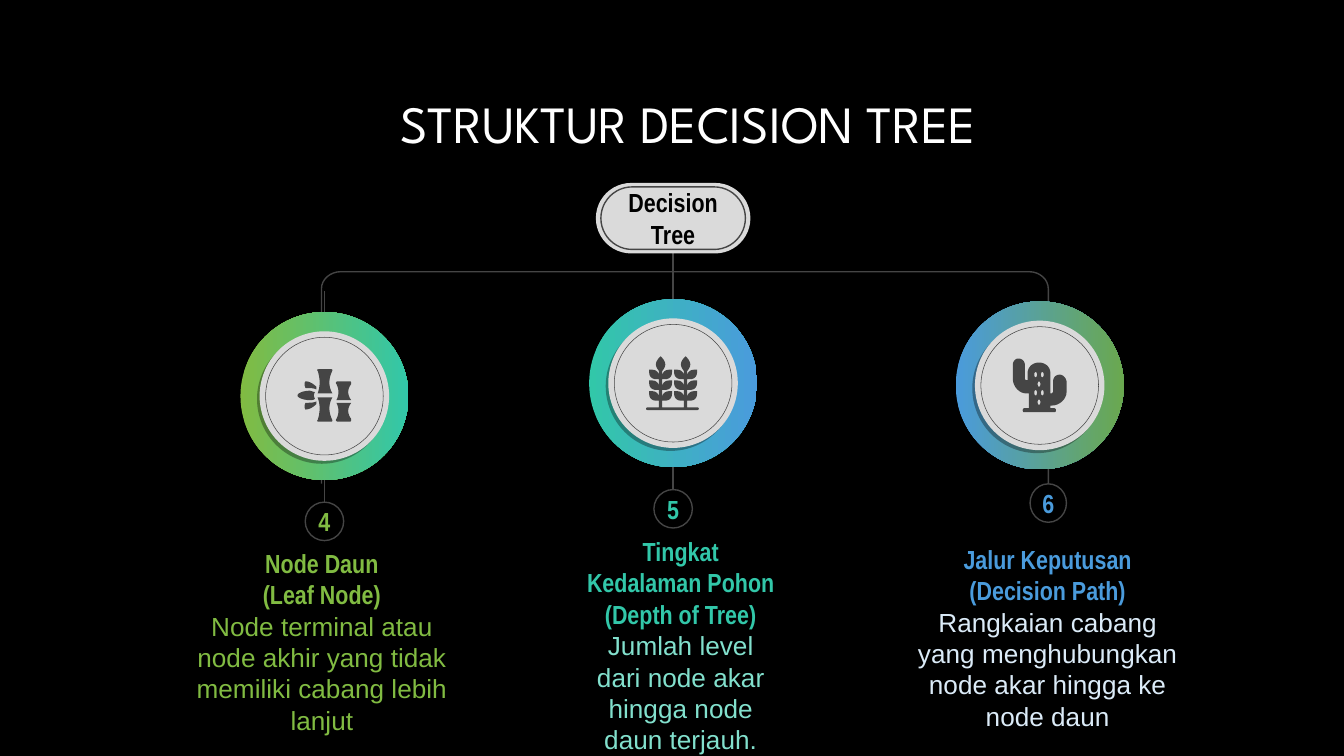
from lxml.etree import SubElement
from pptx import Presentation
from pptx.dml.color import RGBColor
from pptx.enum.shapes import MSO_CONNECTOR, MSO_SHAPE
from pptx.enum.text import MSO_ANCHOR, PP_ALIGN
from pptx.oxml.ns import qn
from pptx.util import Pt

BLACK = RGBColor(0x00, 0x00, 0x00)
WHITE = RGBColor(0xFF, 0xFF, 0xFF)
GREY = RGBColor(0xDA, 0xDA, 0xDA)
DARK = RGBColor(0x45, 0x45, 0x45)
GREEN = RGBColor(0x81, 0xBB, 0x42)
TEAL = RGBColor(0x32, 0xC7, 0xA9)
BLUE = RGBColor(0x4A, 0x9B, 0xDC)
LEAF = RGBColor(0x6A, 0xA8, 0x4F)
PALE_TEAL = RGBColor(0x82, 0xE0, 0xCD)
PALE_BLUE = RGBColor(0xDB, 0xEB, 0xF8)

# Content; disc = centre, badge = centre x, top, width; box = left, top, width, height
TITLE = "STRUKTUR DECISION TREE"
ROOT = "Decision Tree"
NODES = [
    dict(number="4", heading=["Node Daun", "(Leaf Node)"],
         body="Node terminal atau node akhir yang tidak memiliki cabang lebih lanjut",
         color=GREEN, end_color=TEAL, body_color=GREEN, icon="bamboo", disc=(173.8, 212.2),
         badge=(173.8, 269, 20.6), stem_top=155.8, box=(96.5, 293.2, 151.9, 101)),
    dict(number="5", heading=["Tingkat Kedalaman Pohon", "(Depth of Tree)"],
         body="Jumlah level dari node akar hingga node daun terjauh.",
         color=TEAL, end_color=BLUE, body_color=PALE_TEAL, icon="wheat", disc=(360.6, 205.3),
         badge=(360.6, 262.3, 20.6), stem_top=149, box=(309.6, 286.8, 110.2, 118)),
    dict(number="6", heading=["Jalur Keputusan", "(Decision Path)"],
         body="Rangkaian cabang yang menghubungkan node akar hingga ke node daun",
         color=BLUE, end_color=LEAF, body_color=PALE_BLUE, icon="cactus", disc=(557, 206.5),
         badge=(561.6, 259.2, 19.5), stem_top=None, box=(486, 291.1, 150.5, 101)),
]

# Outlines: two numbers are a straight step, six are a curve
BRACKET = [(172.2, 259.2), (172.2, 154.8), (172.2, 149.7, 176.9, 145.6, 182.6, 145.6),
           (551.3, 145.6), (557, 145.6, 561.6, 149.7, 561.6, 154.8), (561.6, 259.2)]
ICON_UNIT = 0.72  # icons are drawn on a 40 by 40 grid

def flip(outline, height):
    return [tuple(height - v if i % 2 else v for i, v in enumerate(step)) for step in outline]

def mirror(outline, width):
    return [tuple(v if i % 2 else width - v for i, v in enumerate(step)) for step in outline]

def bamboo():
    leaf = [(14, 15), (14, 14, 14, 13, 14, 13), (12, 11, 9, 9, 6, 9),
            (5, 10, 5, 12, 6, 14), (9, 14, 12, 14, 14, 15)]
    middle_leaf = [(9, 16), (4, 16, 0, 18, 0, 19.5), (0, 21, 4, 23, 9, 23),
                   (11, 23, 12, 23, 13, 22), (12, 20, 12, 19, 13, 17), (12, 17, 10, 16, 9, 16)]
    tall = [(16, 0), (14, 0, 14.5, 1, 15, 1), (17, 7, 17, 13, 15, 18), (26, 18),
            (23, 13, 23, 7, 26, 1), (26, 0.5, 26, 0, 25, 0)]
    short = [(30, 9), (29, 9, 28, 10, 29, 11), (31, 15, 31, 19, 29, 23), (40, 23),
             (37, 19, 37, 15, 40, 11), (40, 10, 40, 9, 39, 9)]
    return [leaf, flip(leaf, 39), middle_leaf, tall, flip(tall, 39), short, flip(short, 48)]

def wheat():
    outlines = [[(1, 38), (38, 38), (39.5, 38, 39.5, 40, 38, 40), (1, 40), (-0.5, 40, -0.5, 38, 1, 38)]]
    for x in (10.7, 29.3):
        outlines.append([(x, 0), (x, 0, x - 3.5, 3, x - 3.5, 6), (x - 3.5, 8, x - 2, 10, x - 1.2, 11),
                         (x - 1.2, 38), (x + 1.2, 38), (x + 1.2, 11),
                         (x + 2, 10, x + 3.5, 8, x + 3.5, 6), (x + 3.5, 3, x, 0, x, 0)])
        for y in (10, 18, 26):
            blade = [(x - 8.5, y), (x - 6, y), (x - 3.5, y, x - 1.2, y + 2, x - 1.2, y + 4.5),
                     (x - 1.2, y + 7), (x - 3.5, y + 7), (x - 6.5, y + 7, x - 8.5, y + 5, x - 8.5, y + 2)]
            outlines += [blade, mirror(blade, 2 * x)]
    return outlines

def cactus():
    body = [(4, 0), (2, 0, 0, 2, 0, 5), (0, 15), (0, 21, 5, 26, 10, 26), (12, 26), (12, 37), (8.5, 37),
            (7, 37, 7, 40, 8.5, 40), (31, 40), (32.5, 40, 32.5, 37, 31, 37), (28, 37), (28, 35), (29, 35),
            (35, 35, 40, 30, 40, 25), (40, 17), (39.5, 14, 37, 12, 35, 12), (32, 12, 30, 14, 30, 17),
            (30, 25), (30, 25, 29, 26, 29, 26), (28, 26), (28, 11), (28, 6, 24, 3, 19.5, 3),
            (15, 3, 11, 6, 11, 11), (11, 16), (10, 16), (10, 16, 9, 16, 9, 15), (9, 5), (9, 2, 7, 0, 4, 0)]
    holes = [(17, 12), (22, 12), (19.5, 19), (17, 25.5), (22, 25.5), (19.5, 32.5)]
    return [body] + [[(x, y - 2), (x + 1.4, y - 2, x + 1.4, y + 2, x, y + 2),
                      (x - 1.4, y + 2, x - 1.4, y - 2, x, y - 2)] for x, y in holes]

ICONS = {"bamboo": bamboo, "wheat": wheat, "cactus": cactus}

presentation = Presentation()
presentation.slide_width, presentation.slide_height = Pt(720), Pt(405)
slide = presentation.slides.add_slide(presentation.slide_layouts[6])
slide.background.fill.solid()
slide.background.fill.fore_color.rgb = BLACK

def style(shape, fill=None, line=None, weight=0.75):
    shape.shadow.inherit = False
    for target, color in ((shape.fill, fill), (shape.line.fill, line)):
        if color is None:
            target.background()
        else:
            target.solid()
            target.fore_color.rgb = color
    shape.line.width = Pt(weight)
    return shape

def add_preset(kind, center_x, center_y, width, height, **look):
    shape = slide.shapes.add_shape(kind, Pt(center_x - width / 2), Pt(center_y - height / 2),
                                   Pt(width), Pt(height))
    return style(shape, **look)

def add_outline(outlines, left=0, top=0, unit=1, closed=True, **look):
    builder = None
    for outline in outlines:
        points = []
        for step in outline:
            if len(step) == 2:
                points.append(step)
                continue
            (x0, y0), (x1, y1, x2, y2, x3, y3) = points[-1], step
            for t in (k / 8 for k in range(1, 9)):
                a, b, c, d = (1 - t) ** 3, 3 * t * (1 - t) ** 2, 3 * t * t * (1 - t), t ** 3
                points.append((a * x0 + b * x1 + c * x2 + d * x3, a * y0 + b * y1 + c * y2 + d * y3))
        points = [(Pt(left + x * unit), Pt(top + y * unit)) for x, y in points]
        if builder is None:
            builder = slide.shapes.build_freeform(*points[0], scale=1.0)
        else:
            builder.move_to(*points[0])
        builder.add_line_segments(points[1:], close=closed)
    return style(builder.convert_to_shape(), **look)

def add_line(x, top, bottom):
    line = slide.shapes.add_connector(MSO_CONNECTOR.STRAIGHT, Pt(x), Pt(top), Pt(x), Pt(bottom))
    line.line.color.rgb = DARK
    line.line.width = Pt(0.75)
    SubElement(line._element.spPr, qn("a:effectLst"))
    return line

def add_text(shape, text, size=14, font="Arial Narrow", color=BLACK, bold=True,
             anchor=MSO_ANCHOR.MIDDLE, inset=0, spacing=None):
    frame = shape.text_frame
    frame.word_wrap, frame.vertical_anchor = True, anchor
    frame.margin_left = frame.margin_right = Pt(inset)
    frame.margin_top = frame.margin_bottom = 0
    paragraph = frame.add_paragraph() if frame.text else frame.paragraphs[0]
    paragraph.alignment, paragraph.line_spacing = PP_ALIGN.CENTER, spacing
    run = paragraph.add_run()
    run.text = text
    run.font.size, run.font.name, run.font.bold = Pt(size), font, bold
    run.font.color.rgb = color

def add_box(*place):
    return slide.shapes.add_textbox(*map(Pt, place))

# Title
add_text(add_box(152.6, 52.6, 432, 30), TITLE, size=28, font="League Spartan", color=WHITE,
         bold=False, anchor=MSO_ANCHOR.TOP, spacing=0.9)

# Branches and root pill
add_outline([BRACKET], closed=False, line=DARK)
trunk = add_line(360.6, 136, 152)
root = add_preset(MSO_SHAPE.ROUNDED_RECTANGLE, 360.6, 116.9, 82.8, 37.8, fill=GREY)
rim = add_preset(MSO_SHAPE.ROUNDED_RECTANGLE, 360.6, 116.9, 77.4, 33.5, line=DARK)
root.adjustments[0] = rim.adjustments[0] = 0.5
trunk.begin_connect(root, 2)
add_text(root, ROOT, inset=7.2)

for node in NODES:
    # Numbered badge and its stem
    x, top, width = node["badge"]
    badge = add_preset(MSO_SHAPE.OVAL, x, top + 10.3, width, 20.6, line=DARK)
    add_text(badge, node["number"], color=node["color"])
    if node["stem_top"]:
        add_line(x, node["stem_top"], top).end_connect(badge, 0)
    # Disc: gradient ring, shade, plate, thin rim, icon
    x, y = node["disc"]
    ring = add_preset(MSO_SHAPE.OVAL, x, y, 90, 90)
    ring.fill.gradient()
    ring.fill.gradient_angle = 0
    for position, name in enumerate(("color", "end_color")):
        stop = ring.fill.gradient_stops[position]
        stop.color.rgb, stop.position = node[name], position
    shade = add_preset(MSO_SHAPE.OVAL, x - 1.4, y + 1.6, 69.4, 69.4, fill=BLACK)
    SubElement(shade._element.spPr.find(qn("a:solidFill"))[0], qn("a:alpha")).set("val", "33000")
    add_preset(MSO_SHAPE.OVAL, x, y, 69.4, 69.4, fill=GREY)
    add_preset(MSO_SHAPE.OVAL, x, y, 63, 63, line=DARK, weight=0.28)
    add_outline(ICONS[node["icon"]](), x - 14.4, y - 14.4, ICON_UNIT, fill=DARK)
    # Heading and description
    box = add_box(*node["box"])
    for line in node["heading"]:
        add_text(box, line, color=node["color"], anchor=MSO_ANCHOR.TOP, inset=3.6)
    add_text(box, node["body"], font="Arial", color=node["body_color"], bold=False,
             anchor=MSO_ANCHOR.TOP, inset=3.6)

presentation.save("out.pptx")
